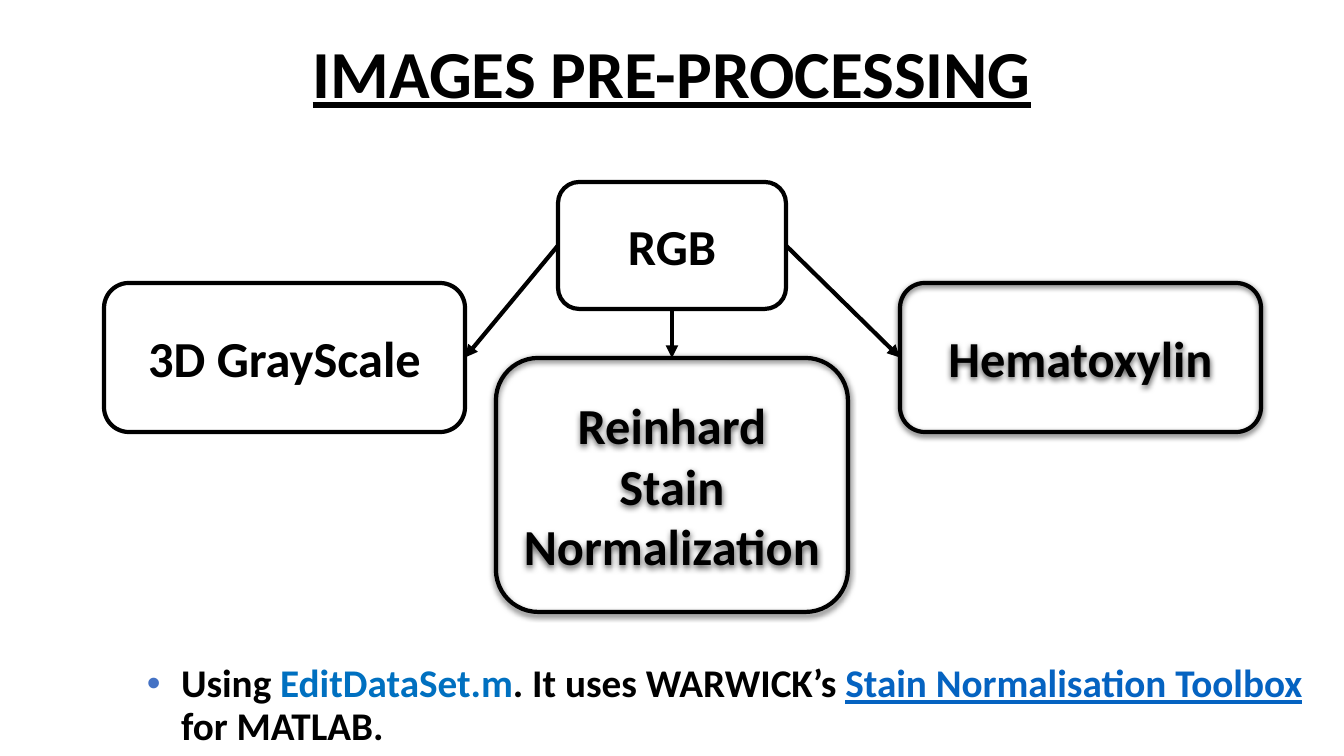
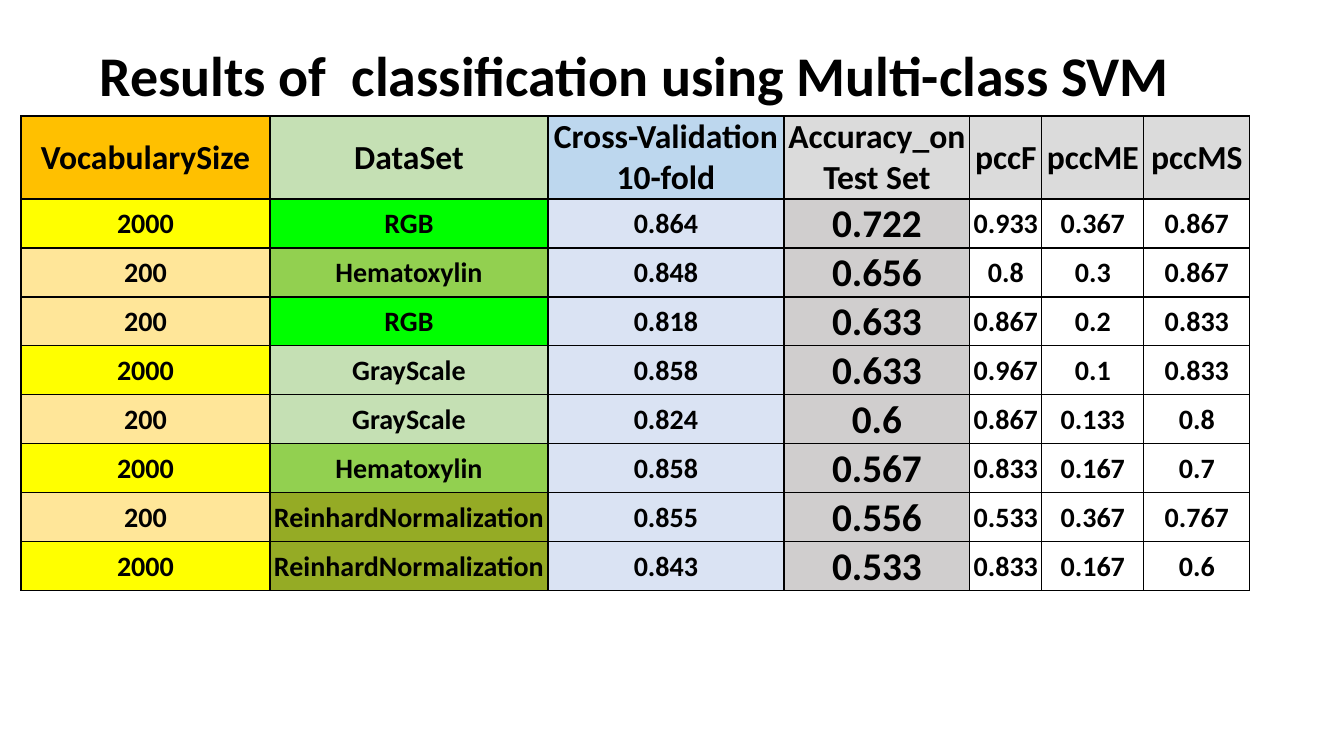
from lxml import etree
from pptx import Presentation
from pptx.dml.color import RGBColor
from pptx.enum.shapes import MSO_CONNECTOR, MSO_SHAPE
from pptx.enum.text import MSO_ANCHOR, PP_ALIGN
from pptx.oxml.ns import qn
from pptx.util import Pt

EMU_PER_PX = 914400 / 100.8
FONT = "Calibri"
CENTER, LEFT = PP_ALIGN.CENTER, PP_ALIGN.LEFT
MIDDLE, TOP = MSO_ANCHOR.MIDDLE, MSO_ANCHOR.TOP
ROUNDED, STRAIGHT = MSO_SHAPE.ROUNDED_RECTANGLE, MSO_CONNECTOR.STRAIGHT
SITE_TOP, SITE_LEFT, SITE_BOTTOM, SITE_RIGHT = range(4)

COLORS = {
    "black": "000000",
    "white": "FFFFFF",
    "bullet": "4472C4",
    "file": "0070C0",
    "link": "0563C1",
    "orange": "FFC000",
    "yellow": "FFFF00",
    "cream": "FFE699",
    "lime": "00FF00",
    "green": "92D050",
    "pale_green": "C5E0B4",
    "olive": "95AB25",
    "blue": "BDD7EE",
    "pale_blue": "DAE3F3",
    "light_gray": "DBDBDB",
    "gray": "D0CECE",
}

SIZE_COLORS = {"2000": "yellow", "200": "cream"}
DATASET_COLORS = {
    "RGB": "lime",
    "Hematoxylin": "green",
    "GrayScale": "pale_green",
    "ReinhardNormalization": "olive",
}
COLUMN_WIDTHS = [249, 278, 236, 186, 72, 102, 106]
HEADERS = [
    ("VocabularySize", "orange"),
    ("DataSet", "pale_green"),
    ("Cross-Validation\n10-fold", "blue"),
    ("Accuracy_on\nTest Set", "light_gray"),
    ("pccF", "light_gray"),
    ("pccME", "light_gray"),
    ("pccMS", "light_gray"),
]
RESULTS = [
    ("2000", "RGB", "0.864", "0.722", "0.933", "0.367", "0.867"),
    ("200", "Hematoxylin", "0.848", "0.656", "0.8", "0.3", "0.867"),
    ("200", "RGB", "0.818", "0.633", "0.867", "0.2", "0.833"),
    ("2000", "GrayScale", "0.858", "0.633", "0.967", "0.1", "0.833"),
    ("200", "GrayScale", "0.824", "0.6", "0.867", "0.133", "0.8"),
    ("2000", "Hematoxylin", "0.858", "0.567", "0.833", "0.167", "0.7"),
    ("200", "ReinhardNormalization", "0.855", "0.556", "0.533", "0.367", "0.767"),
    ("2000", "ReinhardNormalization", "0.843", "0.533", "0.833", "0.167", "0.6"),
]


def px(length):
    return round(length * EMU_PER_PX)


def rgb(name):
    return RGBColor.from_string(COLORS[name])


def add_element(parent, tag, **attributes):
    element = etree.SubElement(parent, qn(tag))
    for name, value in attributes.items():
        element.set(name, str(value))
    return element


def add_color(parent, name):
    return add_element(parent, "a:srgbClr", val=COLORS[name])


class SlideBuilder:
    """Holds the deck, its style and the slide being filled."""

    def __init__(self, width, height):
        self.deck = Presentation()
        self.deck.slide_width, self.deck.slide_height = px(width), px(height)
        self.page = None

    def new_page(self):
        self.page = self.deck.slides.add_slide(self.deck.slide_layouts[6])

    def style_span(self, span, size, color="black", underline=False):
        font = span.font
        font.name, font.size, font.bold = FONT, Pt(size), True
        font.color.rgb = rgb(color)
        if underline:
            font.underline = True

    def set_text(self, frame, text, size, underline=False):
        """Put centred bold text in a frame, one paragraph a line."""
        frame.text = text
        for para in frame.paragraphs:
            para.alignment = CENTER
            for span in para.runs:
                self.style_span(span, size, underline=underline)

    def text_box(self, left, top, width, height, anchor):
        box = self.page.shapes.add_textbox(px(left), px(top), px(width), px(height))
        box.text_frame.word_wrap = True
        box.text_frame.vertical_anchor = anchor
        return box.text_frame

    def title(self, text, left, top, width, height, size, underline=False):
        frame = self.text_box(left, top, width, height, MIDDLE)
        self.set_text(frame, text, size, underline)
        frame.paragraphs[0].line_spacing = 0.9

    def node(self, text, left, top, width, height, shadow=False):
        box = self.page.shapes.add_shape(
            ROUNDED, px(left), px(top), px(width), px(height))
        box.fill.background()
        box.line.color.rgb = rgb("black")
        box.line.width = Pt(3)
        box.shadow.inherit = False
        if shadow:
            effects = box._element.spPr.find(qn("a:effectLst"))
            outer = add_element(effects, "a:outerShdw", blurRad=Pt(4.5), dist=Pt(1.5),
                                dir=5400000, algn="t", rotWithShape=0)
            add_element(add_color(outer, "black"), "a:alpha", val=63000)
        box.text_frame.word_wrap = True
        box.text_frame.vertical_anchor = MIDDLE
        self.set_text(box.text_frame, text, 36)
        return box

    def arrow(self, source, source_site, target, target_site):
        line = self.page.shapes.add_connector(STRAIGHT, 0, 0, 0, 0)
        line.begin_connect(source, source_site)
        line.end_connect(target, target_site)
        line.line.color.rgb = rgb("black")
        line.line.width = Pt(3)
        outline = line._element.spPr.find(qn("a:ln"))
        add_element(outline, "a:tailEnd", type="triangle")
        add_element(line._element.spPr, "a:effectLst")

    def bullet(self, spans, left, top, width, height):
        """Add one bulleted paragraph from (text, color, underline) spans."""
        frame = self.text_box(left, top, width, height, TOP)
        frame.margin_left = frame.margin_right = px(13)
        frame.margin_top = frame.margin_bottom = px(7)
        para = frame.paragraphs[0]
        properties = para._p.get_or_add_pPr()
        properties.set("marL", str(px(34)))
        properties.set("indent", str(px(-34)))
        add_color(add_element(properties, "a:buClr"), "bullet")
        add_element(properties, "a:buFont", typeface="Arial")
        add_element(properties, "a:buChar", char="•")
        para.alignment, para.line_spacing = LEFT, 0.9
        for text, color, underline in spans:
            span = para.add_run()
            span.text = text
            self.style_span(span, 28, color, underline)

    def fill_cell(self, cell, text, size, color):
        cell.margin_left = cell.margin_right = cell.margin_top = px(1)
        cell.margin_bottom = 0
        cell.vertical_anchor = MIDDLE
        properties = cell._tc.get_or_add_tcPr()
        for side in ("a:lnL", "a:lnR", "a:lnT", "a:lnB"):
            border = add_element(properties, side, w=Pt(1))
            add_color(add_element(border, "a:solidFill"), "black")
        cell.fill.solid()
        cell.fill.fore_color.rgb = rgb(color)
        self.set_text(cell.text_frame, text, size)

    def results_table(self, left, top, header_height, row_height):
        height = header_height + row_height * len(RESULTS)
        table = self.page.shapes.add_table(
            len(RESULTS) + 1, len(HEADERS), px(left), px(top),
            px(sum(COLUMN_WIDTHS)), px(height)).table
        table.first_row = table.horz_banding = False
        for column, width in zip(table.columns, COLUMN_WIDTHS):
            column.width = px(width)
        for row in table.rows:
            row.height = px(row_height)
        table.rows[0].height = px(header_height)
        for column, (text, color) in enumerate(HEADERS):
            self.fill_cell(table.cell(0, column), text, 24, color)
        sizes = [20, 20, 20, 28, 20, 20, 20]
        for row, values in enumerate(RESULTS, start=1):
            colors = [SIZE_COLORS[values[0]], DATASET_COLORS[values[1]],
                      "pale_blue", "gray", "white", "white", "white"]
            for column, style in enumerate(zip(values, sizes, colors)):
                self.fill_cell(table.cell(row, column), *style)


def build_preprocessing(builder):
    builder.new_page()
    builder.title("IMAGES PRE-PROCESSING", 0, 32, 1344, 89, 48, underline=True)
    source = builder.node("RGB", 558, 182, 228, 127)
    reinhard = builder.node("Reinhard\nStain\nNormalization", 496, 358, 352, 254, True)
    hematoxylin = builder.node("Hematoxylin", 900, 283, 361, 149, True)
    grayscale = builder.node("3D GrayScale", 104, 283, 361, 149)
    builder.arrow(source, SITE_LEFT, grayscale, SITE_RIGHT)
    builder.arrow(source, SITE_BOTTOM, reinhard, SITE_TOP)
    builder.arrow(source, SITE_RIGHT, hematoxylin, SITE_LEFT)
    builder.bullet([
        ("Using ", "black", False),
        ("EditDataSet.m", "file", False),
        (". It uses WARWICK’s ", "black", False),
        ("Stain Normalisation Toolbox", "link", True),
        (" for MATLAB.", "black", False),
    ], 134, 657, 1210, 64)


def build_results(builder):
    builder.new_page()
    builder.title("Results of  classification using Multi-class SVM", 55, 40, 1159, 76, 40)
    builder.results_table(21, 116, 83, 49)


def main():
    builder = SlideBuilder(1344, 756)
    build_preprocessing(builder)
    build_results(builder)
    builder.deck.save("out.pptx")


if __name__ == "__main__":
    main()
